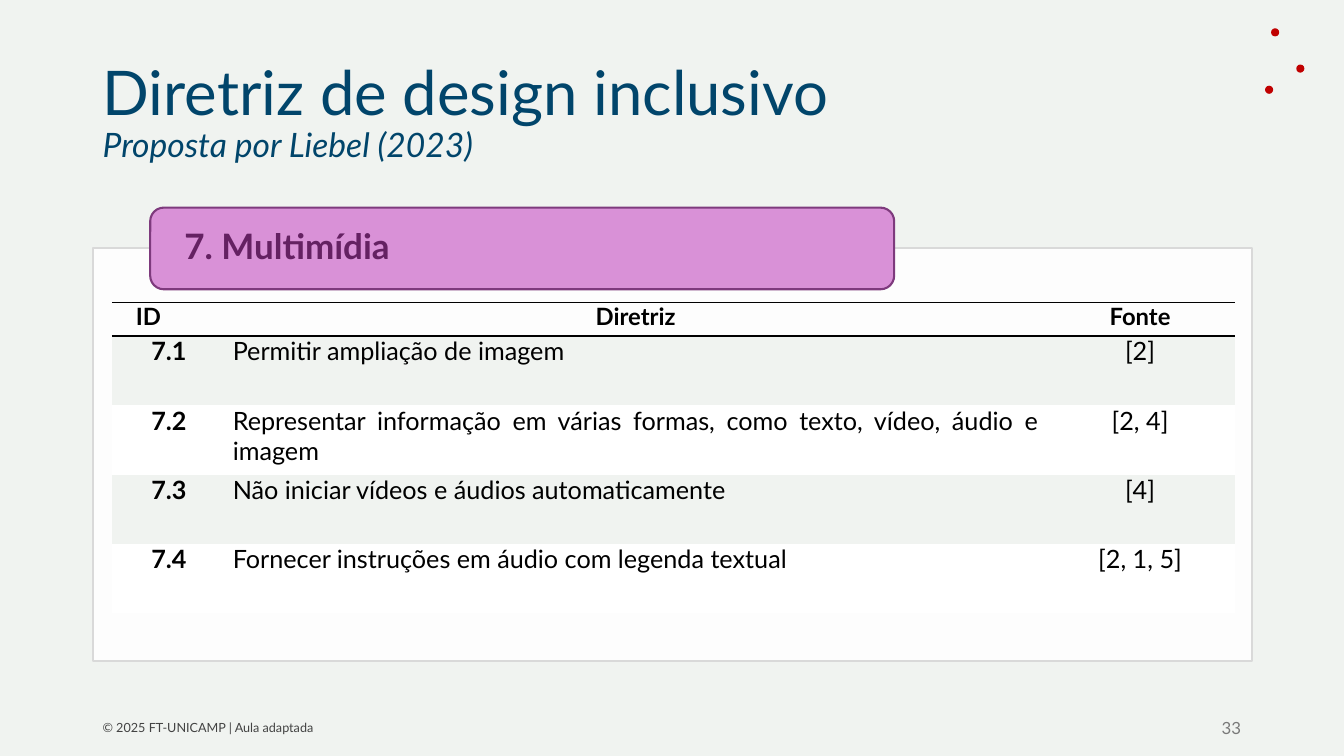
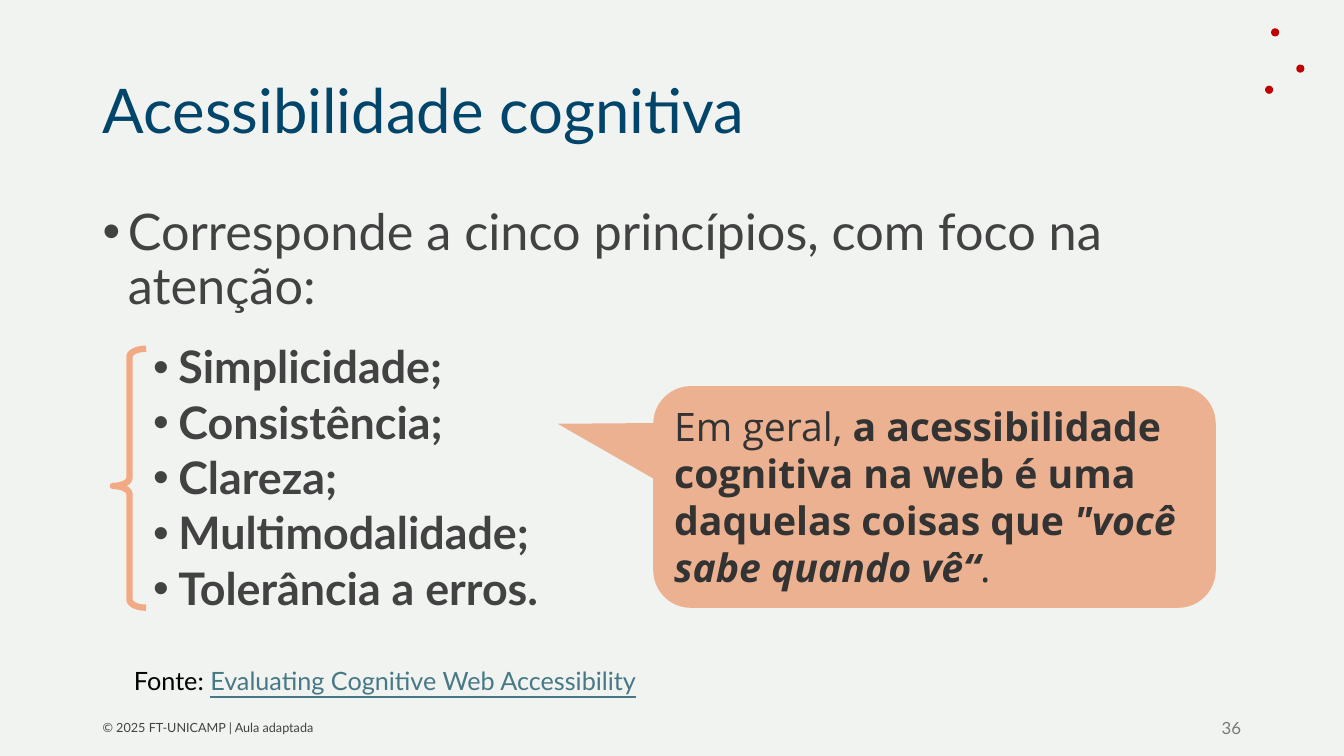
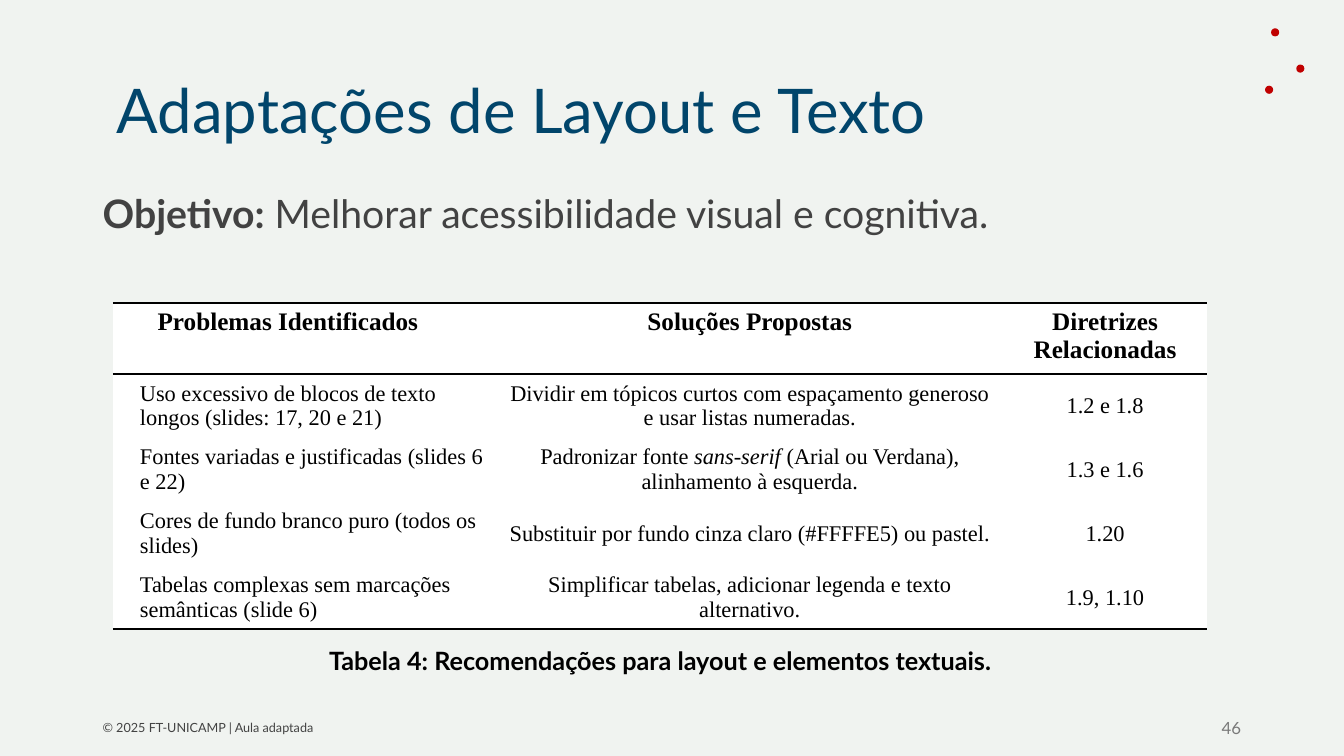
from lxml import etree
from pptx import Presentation
from pptx.dml.color import RGBColor
from pptx.enum import shapes, text
from pptx.oxml import ns
from pptx.util import Pt

# Shared colours and fonts
PAPER = RGBColor(0xF0, 0xF3, 0xF0)
WHITE = RGBColor(0xFF, 0xFF, 0xFF)
BLACK = RGBColor(0, 0, 0)
NAVY = RGBColor(0x01, 0x45, 0x6B)
SLATE = RGBColor(0x42, 0x42, 0x42)
GREY = RGBColor(0x79, 0x79, 0x79)
SILVER = RGBColor(0xD9, 0xD9, 0xD9)
RED = RGBColor(0xC0, 0, 0)
PINK = RGBColor(0xD9, 0x91, 0xD7)
PLUM = RGBColor(0x7E, 0x3A, 0x7D)
GRAPE = RGBColor(0x64, 0x21, 0x62)
ORANGE = RGBColor(0xE9, 0x71, 0x32)
PEACH = RGBColor(0xF2, 0xAA, 0x84)
COAL = RGBColor(0x33, 0x33, 0x33)
TEAL = RGBColor(0x46, 0x78, 0x86)
SANS, OPEN, SERIF = "Lato", "Open Sans", "Times New Roman"

SHAPE = shapes.MSO_SHAPE
ALIGN = text.PP_ALIGN
MIDDLE = text.MSO_ANCHOR.MIDDLE
TOP = text.MSO_ANCHOR.TOP
LEFT_X, BODY_W = 66.2, 828
DOTS = [(903.6, 61.2), (925.9, 46.1), (907.9, 20.2)]
PLAIN_GRID = "{2D5ABB26-0587-4C30-8999-92F81FD0307C}"


# Text helpers
def style(run, size, color, face=SANS, marks=""):
    font = run.font
    font.size, font.name = Pt(size), face
    font.color.rgb = color
    font.bold, font.italic = "b" in marks, "i" in marks
    if "u" in marks:
        font.underline = True


def write(par, bits, size, color, face=SANS, marks=""):
    """Fill a paragraph from a string or from (text, marks) pairs."""
    if isinstance(bits, str):
        bits = [(bits, marks)]
    for words, look in bits:
        run = par.add_run()
        run.text = words
        style(run, size, color, face, look)


def indent(par, left, first=0, bullet=None):
    props = par._p.get_or_add_pPr()
    props.set("marL", str(Pt(left)))
    props.set("indent", str(Pt(first)))
    if bullet:
        etree.SubElement(props, ns.qn("a:buChar")).set("char", bullet)
    else:
        etree.SubElement(props, ns.qn("a:buNone"))


def place(item, left, top, width, height):
    item.left, item.top = Pt(left), Pt(top)
    item.width, item.height = Pt(width), Pt(height)


def label(slide, box, bits, size, color, align=ALIGN.LEFT, marks=""):
    frame = slide.shapes.add_textbox(*map(Pt, box)).text_frame
    frame.word_wrap = True
    frame.vertical_anchor = MIDDLE
    par = frame.paragraphs[0]
    par.alignment = align
    write(par, bits, size, color, marks=marks)
    return par


# Shape helper
def draw(slide, kind, box, fill=None, line=None, width=1.5, alpha=None):
    item = slide.shapes.add_shape(kind, *map(Pt, box))
    item.shadow.inherit = False
    if fill is None:
        item.fill.background()
    else:
        item.fill.solid()
        item.fill.fore_color.rgb = fill
    if alpha:
        tint = item._element.spPr.find(".//" + ns.qn("a:srgbClr"))
        etree.SubElement(tint, ns.qn("a:alpha")).set("val", str(alpha * 1000))
    if line is None:
        item.line.fill.background()
    else:
        item.line.color.rgb = line
        item.line.width = Pt(width)
    return item


# Table helpers
def rule(cell, edges, width):
    props = cell._tc.get_or_add_tcPr()
    for spot, edge in enumerate(edges):
        line = etree.Element(ns.qn("a:ln" + edge), w=str(Pt(width)))
        fill = etree.SubElement(line, ns.qn("a:solidFill"))
        etree.SubElement(fill, ns.qn("a:srgbClr")).set("val", str(BLACK))
        props.insert(spot, line)


def grid(slide, spot, widths, heights, rows, fills, pad):
    """Add a table without borders; return it for further styling."""
    frame = slide.shapes.add_table(len(rows), len(widths), *map(Pt, spot),
                                   Pt(sum(widths)), Pt(sum(heights)))
    table = frame.table
    table.first_row = table.horz_banding = False
    table._tbl.tblPr.find(ns.qn("a:tableStyleId")).text = PLAIN_GRID
    for col, width in zip(table.columns, widths):
        col.width = Pt(width)
    for row, height, fill in zip(table.rows, heights, fills):
        row.height = Pt(height)
        for cell in row.cells:
            cell.margin_left = cell.margin_right = Pt(5)
            cell.margin_top = cell.margin_bottom = Pt(pad)
            if fill is None:
                cell.fill.background()
            else:
                cell.fill.solid()
                cell.fill.fore_color.rgb = fill
    return table


def enter(cell, bits, size, face, align, marks="", left=0):
    par = cell.text_frame.paragraphs[0]
    par.alignment = align
    if left:
        indent(par, left)
    write(par, bits, size, BLACK, face, marks)


# Slide frame: title, dots, footer and number
def start(deck, layout, title, number):
    slide = deck.slides.add_slide(deck.slide_layouts[layout])
    head = slide.shapes.title
    place(head, LEFT_X, 28.8, 782, 104.4)
    frame = head.text_frame
    frame.text = title
    frame.auto_size = text.MSO_AUTO_SIZE.NONE
    frame.vertical_anchor = MIDDLE
    par = frame.paragraphs[0]
    par.alignment, par.line_spacing = ALIGN.LEFT, 0.9
    for run, (size, marks) in zip(par.runs, [(44, ""), (24, "i")]):
        style(run, size, NAVY, marks=marks)
    for left, top in DOTS:
        draw(slide, SHAPE.OVAL, (left, top, 5.8, 5.8), RED)
    label(slide, (LEFT_X, 508.3, 216, 23), "© 2025 FT-UNICAMP | Aula adaptada",
          9, SLATE)
    label(slide, (707.8, 510.5, 185.8, 18.7), number, 12, GREY, ALIGN.RIGHT)
    return slide


def body(slide):
    item = slide.placeholders[1]
    place(item, LEFT_X, 144, BODY_W, 342.7)
    frame = item.text_frame
    frame.auto_size = text.MSO_AUTO_SIZE.NONE
    frame.vertical_anchor = TOP
    return frame


# Slides
def media(deck):
    slide = start(deck, 5, "Diretriz de design inclusivo\vProposta por Liebel (2023)",
                  "33")
    draw(slide, SHAPE.RECTANGLE, (LEFT_X, 177.1, BODY_W, 295.2), WHITE, SILVER,
         alpha=90)
    tab = draw(slide, SHAPE.ROUNDED_RECTANGLE, (107.3, 148.3, 531.4, 58.3),
               PINK, PLUM)
    frame = tab.text_frame
    frame.margin_left = frame.margin_right = Pt(21.6)
    par = frame.paragraphs[0]
    par.alignment, par.line_spacing = ALIGN.LEFT, 0.9
    write(par, "7. Multimídia", 25, GRAPE, marks="b")

    rows = [
        ("ID", "Diretriz", "Fonte"),
        ("7.1", "Permitir ampliação de imagem", "[2]"),
        ("7.2", "Representar informação em várias formas, como texto, vídeo, "
                "áudio e imagem", "[2, 4]"),
        ("7.3", "Não iniciar vídeos e áudios automaticamente", "[4]"),
        ("7.4", "Fornecer instruções em áudio com legenda textual", "[2, 1, 5]"),
    ]
    table = grid(slide, (80, 216), (81.3, 585.4, 135.3), [24] + [49.5] * 4,
                 rows, [None] + [PAPER, WHITE] * 2, 0)
    for r, row in enumerate(rows):
        for c, words in enumerate(row):
            cell = table.cell(r, c)
            if r == 0:
                enter(cell, words, 17, SANS, ALIGN.CENTER if c else ALIGN.LEFT,
                      "b", 0 if c else 12)
                rule(cell, "TB", 1)
            else:
                enter(cell, words, 18, SANS,
                      ALIGN.JUSTIFY if c == 1 else ALIGN.CENTER,
                      "" if c else "b")


def access(deck):
    slide = start(deck, 1, "Acessibilidade cognitiva", "36")
    frame = body(slide)
    par = frame.paragraphs[0]
    indent(par, 18, -18, "•")
    par.line_spacing, par.space_before = 0.9, Pt(0)
    write(par, "Corresponde a cinco princípios, com foco na atenção:", 36, SLATE)
    items = ["Simplicidade;", "Consistência;", "Clareza;", "Multimodalidade;",
             "Tolerância a erros."]
    for n, words in enumerate(items):
        par = frame.add_paragraph()
        par.level = 1
        indent(par, 54, -18, "•")
        par.line_spacing, par.space_before = 0.9, Pt(5 if n else 21)
        write(par, words, 32, SLATE, marks="b")

    # Source line
    par = label(slide, (88.6, 471.6, 385.2, 28.8), "Fonte: ", 18, BLACK)
    write(par, "Evaluating Cognitive Web Accessibility", 18, TEAL, marks="u")

    # Callout and brace
    note = draw(slide, SHAPE.ROUNDED_RECTANGULAR_CALLOUT,
                (466.6, 275.8, 401.8, 158.4), ORANGE, alpha=50)
    for n, value in enumerate((-0.67, -0.33, 0.17)):
        note.adjustments[n] = value
    note.text_frame.vertical_anchor = TOP
    par = note.text_frame.paragraphs[0]
    par.alignment = ALIGN.LEFT
    write(par, [("Em geral, ", ""),
                ("a acessibilidade cognitiva na web é uma daquelas coisas que ",
                 "b"),
                ("\"você sabe quando vê“", "bi"), (".", "")], 28, COAL, OPEN)
    brace = draw(slide, SHAPE.LEFT_BRACE, (80.6, 249.1, 23.8, 185), None,
                 PEACH, 4.5)
    brace.adjustments[0], brace.adjustments[1] = 0.24, 0.53


def layout(deck):
    slide = start(deck, 1, "Adaptações de Layout e Texto", "46")
    indent(slide.shapes.title.text_frame.paragraphs[0], 10)
    par = body(slide).paragraphs[0]
    indent(par, 18, -18)
    par.line_spacing, par.space_before = Pt(21.4), Pt(0)
    write(par, [("Objetivo:", "b"),
                (" Melhorar acessibilidade visual e cognitiva.", "")], 28, SLATE)

    rows = [
        ("Problemas Identificados", "Soluções Propostas",
         "Diretrizes Relacionadas"),
        ("Uso excessivo de blocos de texto longos (slides: 17, 20 e 21)",
         "Dividir em tópicos curtos com espaçamento generoso e usar listas "
         "numeradas.", "1.2 e 1.8"),
        ("Fontes variadas e justificadas (slides 6 e 22)",
         [("Padronizar fonte ", ""), ("sans-serif", "i"),
          (" (Arial ou Verdana), alinhamento à esquerda.", "")], "1.3 e 1.6"),
        ("Cores de fundo branco puro (todos os slides)",
         "Substituir por fundo cinza claro (#FFFFE5) ou pastel.", "1.20"),
        ("Tabelas complexas sem marcações semânticas (slide 6)",
         "Simplificar tabelas, adicionar legenda e texto alternativo.",
         "1.9, 1.10"),
    ]
    table = grid(slide, (80.6, 216.7), (274.3, 361.4, 146.2),
                 [47] + [43.5] * 4, rows, [WHITE] * 5, 3.6)
    edges = {0: "TB", len(rows) - 1: "B"}
    for r, row in enumerate(rows):
        for c, words in enumerate(row):
            cell = table.cell(r, c)
            align = ALIGN.CENTER if c else ALIGN.LEFT
            if r == 0:
                enter(cell, words, 18, SERIF, align, "b", 0 if c else 27)
            else:
                cell.vertical_anchor = MIDDLE
                enter(cell, words, 16, SERIF, align, left=0 if c else 14.4)
            rule(cell, edges.get(r, ""), 1.5)
    label(slide, (80.6, 457.2, 782, 28.8),
          "Tabela 4: Recomendações para layout e elementos textuais.",
          18, BLACK, ALIGN.CENTER, "b")


def main():
    deck = Presentation()
    deck.slide_width, deck.slide_height = Pt(960), Pt(540)
    fill = deck.slide_master.background.fill
    fill.solid()
    fill.fore_color.rgb = PAPER
    media(deck)
    access(deck)
    layout(deck)
    deck.save("out.pptx")


if __name__ == "__main__":
    main()
